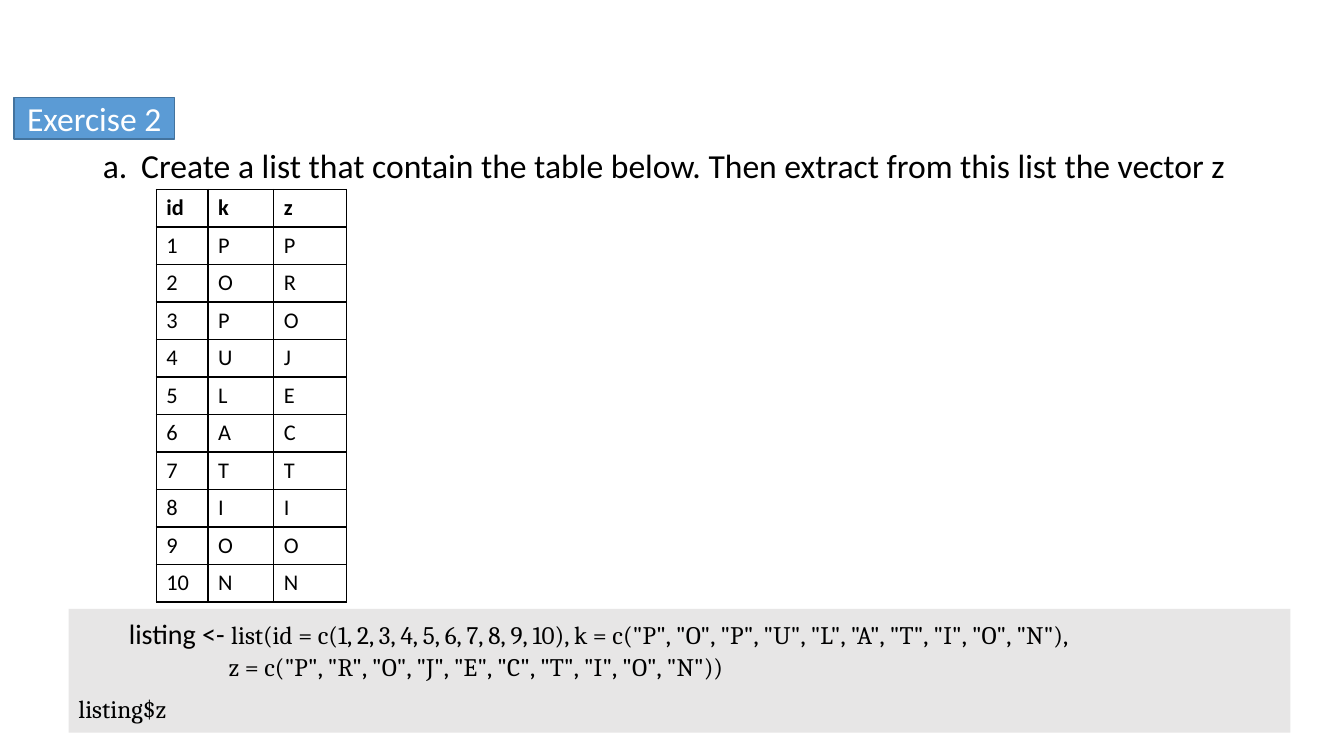
from dataclasses import dataclass
from lxml.etree import SubElement
from pptx import Presentation
from pptx.dml.color import RGBColor
from pptx.enum.shapes import MSO_SHAPE
from pptx.enum.text import MSO_ANCHOR, MSO_AUTO_SIZE, PP_ALIGN
from pptx.oxml.ns import qn
from pptx.util import Inches, Pt

SLIDE_WIDTH, SLIDE_HEIGHT = Inches(13.33), Inches(7.5)


@dataclass(frozen=True)
class Theme:
    text: RGBColor = RGBColor(0, 0, 0)
    light: RGBColor = RGBColor(255, 255, 255)
    tag: RGBColor = RGBColor.from_string("5B9BD5")
    tag_line: RGBColor = RGBColor.from_string("43739E")
    panel: RGBColor = RGBColor.from_string("E7E6E6")
    border: str = "000000"
    sans: str = "Calibri"
    serif: str = "Cambria"
    heading: Pt = Pt(24)
    code_name: Pt = Pt(20)
    code: Pt = Pt(18)
    cell: Pt = Pt(16)


@dataclass(frozen=True)
class Box:
    left: float
    top: float
    width: float
    height: float

    def lengths(self):
        return (int(SLIDE_WIDTH * self.left / 100), int(SLIDE_HEIGHT * self.top / 100),
                int(SLIDE_WIDTH * self.width / 100), int(SLIDE_HEIGHT * self.height / 100))


THEME = Theme()


def place(shape, box):
    shape.left, shape.top, shape.width, shape.height = box.lengths()


def set_font(font, name, size, color, bold=False):
    font.name, font.size, font.bold = name, size, bold
    font.color.rgb = color


def add_tag(slide, box, text):
    title = slide.shapes.title
    place(title, box)
    title.fill.solid()
    title.fill.fore_color.rgb = THEME.tag
    title.line.color.rgb = THEME.tag_line
    title.line.width = Pt(1)
    frame = title.text_frame
    frame.text = text
    frame.auto_size = MSO_AUTO_SIZE.NONE
    frame.word_wrap = False
    frame.vertical_anchor = MSO_ANCHOR.MIDDLE
    paragraph = frame.paragraphs[0]
    paragraph.alignment = PP_ALIGN.CENTER
    set_font(paragraph.font, THEME.sans, THEME.heading, THEME.light)


def add_question(slide, box, text):
    body = slide.placeholders[1]
    place(body, box)
    body.text_frame.text = text
    body.text_frame.auto_size = MSO_AUTO_SIZE.NONE
    paragraph = body.text_frame.paragraphs[0]
    paragraph.line_spacing = 1.07
    paragraph.space_before = Pt(0)
    paragraph.space_after = Pt(8)
    properties = paragraph._p.get_or_add_pPr()
    properties.set("marL", str(Inches(0.38)))
    properties.set("indent", str(-Inches(0.38)))
    SubElement(properties, qn("a:buFont"), typeface="+mj-lt")
    SubElement(properties, qn("a:buAutoNum"), type="alphaLcPeriod")
    set_font(paragraph.font, THEME.sans, THEME.heading, THEME.text)


def add_borders(cell):
    properties = cell._tc.get_or_add_tcPr()
    for position, side in enumerate(("lnL", "lnR", "lnT", "lnB")):
        line = properties.makeelement(qn(f"a:{side}"), {"w": str(Pt(1))})
        fill = SubElement(line, qn("a:solidFill"))
        SubElement(fill, qn("a:srgbClr"), val=THEME.border)
        properties.insert(position, line)


def add_letter_table(slide, box, rows, weights):
    frame = slide.shapes.add_table(len(rows), len(weights), *box.lengths())
    table = frame.table
    table.first_row = table.horz_banding = False
    width, height = box.lengths()[2:]
    for column, weight in zip(table.columns, weights):
        column.width = int(width * weight / sum(weights))
    for row_index, values in enumerate(rows):
        table.rows[row_index].height = height // len(rows)
        for column_index, value in enumerate(values):
            cell = table.cell(row_index, column_index)
            cell.text = value
            cell.fill.background()
            add_borders(cell)
            set_font(cell.text_frame.paragraphs[0].font, THEME.sans, THEME.cell,
                     THEME.text, bold=row_index == 0)


def add_code(slide, box, name, lines):
    panel = slide.shapes.add_shape(MSO_SHAPE.RECTANGLE, *box.lengths())
    panel.shadow.inherit = False
    panel.fill.solid()
    panel.fill.fore_color.rgb = THEME.panel
    panel.line.fill.background()
    frame = panel.text_frame
    frame.word_wrap = True
    frame.vertical_anchor = MSO_ANCHOR.TOP
    for index, line in enumerate(lines):
        paragraph = frame.add_paragraph() if index else frame.paragraphs[0]
        paragraph.alignment = PP_ALIGN.LEFT
        if index < 2:
            paragraph.line_spacing = 1.07
            paragraph._p.get_or_add_pPr().set("marL", str(Inches(0.5)))
        if index == 1:
            paragraph.space_after = Pt(8)
        if index == 0:
            name_run = paragraph.add_run()
            name_run.text = name
            set_font(name_run.font, THEME.sans, THEME.code_name, THEME.text)
        run = paragraph.add_run()
        run.text = line
        set_font(run.font if index == 0 else paragraph.font,
                 THEME.serif, THEME.code, THEME.text)


def add_exercise_slide(presentation):
    slide = presentation.slides.add_slide(presentation.slide_layouts[1])
    add_question(slide, Box(6.9, 18.13, 86.27, 63.47),
                 "Create a list that contain the table below. "
                 "Then extract from this list the vector z")
    add_tag(slide, Box(1.05, 12.93, 11.93, 5.47), "Exercise 2")
    add_code(slide, Box(5.1, 80.53, 90.92, 16.4), "listing <- ", (
        'list(id = c(1, 2, 3, 4, 5, 6, 7, 8, 9, 10), '
        'k = c("P", "O", "P", "U", "L", "A", "T", "I", "O", "N"),',
        '                  z = c("P", "R", "O", "J", "E", "C", "T", "I", "O", "N"))',
        "listing$z"))
    letters = zip("POPULATION", "PROJECTION")
    rows = [("id", "k", "z")]
    rows += [(str(number), k, z) for number, (k, z) in enumerate(letters, 1)]
    add_letter_table(slide, Box(11.63, 25.07, 14.18, 53.87), rows, (51, 65, 72))


def main():
    presentation = Presentation()
    presentation.slide_width, presentation.slide_height = SLIDE_WIDTH, SLIDE_HEIGHT
    add_exercise_slide(presentation)
    presentation.save("out.pptx")


if __name__ == "__main__":
    main()
